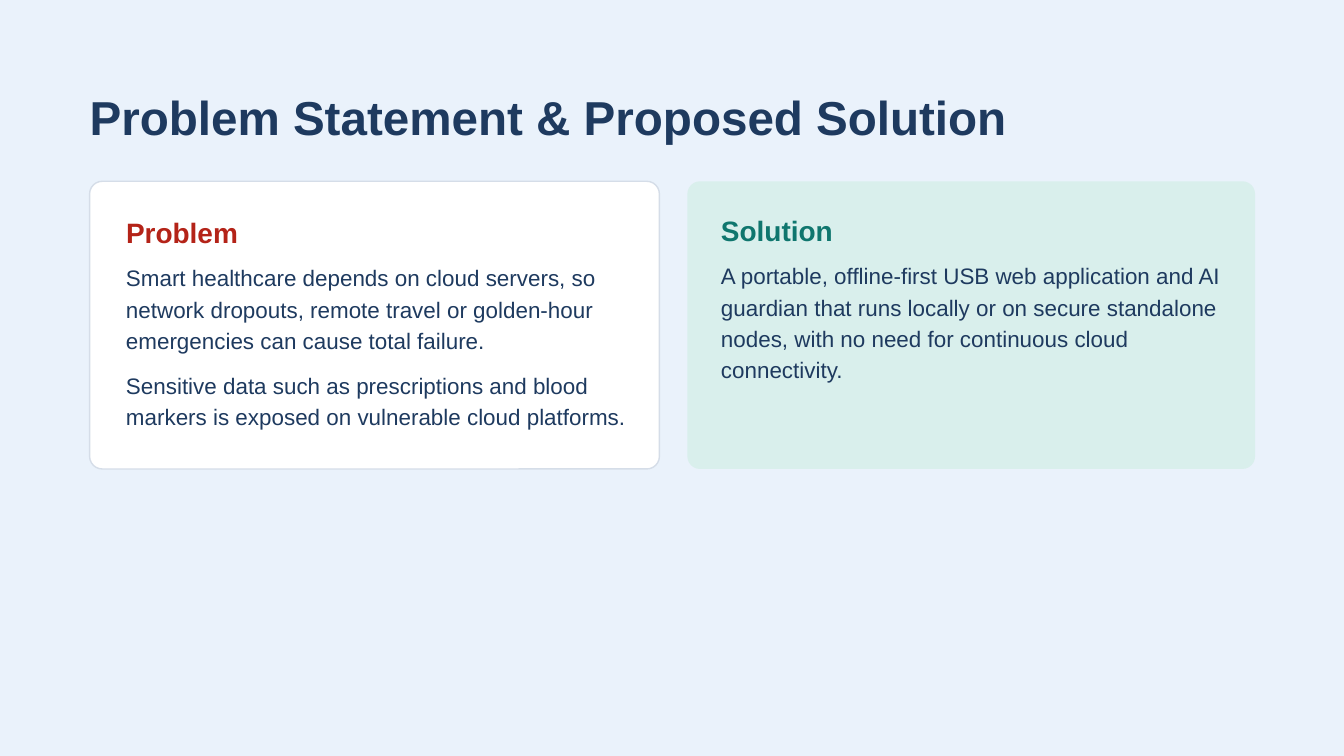
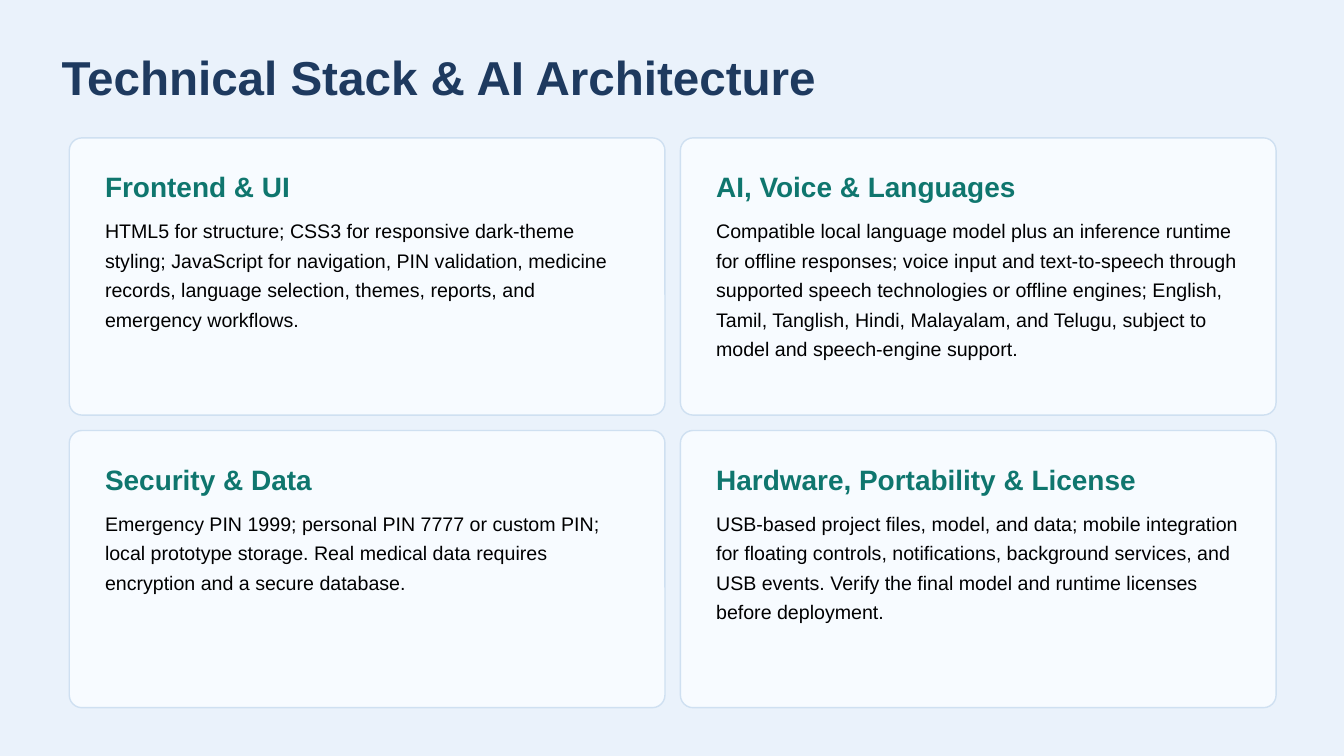
from collections import namedtuple

from pptx import Presentation
from pptx import util as u
from pptx.dml.color import RGBColor
from pptx.enum import shapes, text

PX = 9525
FONT = "Arial"
RADIUS = 18
HEADING_HEIGHT = 50
HEADING_STEP = 63
BODY_GAP = 13
COLORS = {
    "sky": "EAF2FB",
    "navy": "1E3A5F",
    "red": "B42318",
    "teal": "0F766E",
    "black": "000000",
    "white": "FFFFFF",
    "mint": "D9EFEC",
    "ice": "F7FBFF",
    "gray_edge": "D5DDE8",
    "blue_edge": "CFE0F1",
}

Box = namedtuple("Box", "left top width height")
Card = namedtuple("Card", "fill edge inset_x inset_y heading_width")
Style = namedtuple("Style", "size pitch color bold")

HEADING_PITCH = 36
PROBLEM_CARD = Card("white", "gray_edge", 52, 49, 736)
SOLUTION_CARD = Card("mint", None, 48, 46, 736)
STACK_CARD = Card("ice", "blue_edge", 51, 45, 749)
STATEMENT_BODY = Style(24, 33.7, "navy", False)
STACK_BODY = Style(21, 31.5, "black", False)

PROBLEM = [
    ("Smart healthcare depends on cloud servers, so network dropouts, remote travel "
     "or golden-hour emergencies can cause total failure.", 3),
    ("Sensitive data such as prescriptions and blood markers is exposed on vulnerable "
     "cloud platforms.", 2),
]
SOLUTION = [
    ("A portable, offline-first USB web application and AI guardian that runs locally "
     "or on secure standalone nodes, with no need for continuous cloud connectivity.", 4),
]
STACK = [
    ("Frontend & UI",
     "HTML5 for structure; CSS3 for responsive dark-theme styling; JavaScript for "
     "navigation, PIN validation, medicine records, language selection, themes, "
     "reports, and emergency workflows.", 4),
    ("AI, Voice & Languages",
     "Compatible local language model plus an inference runtime for offline responses; "
     "voice input and text-to-speech through supported speech technologies or offline "
     "engines; English, Tamil, Tanglish, Hindi, Malayalam, and Telugu, subject to "
     "model and speech-engine support.", 5),
    ("Security & Data",
     "Emergency PIN 1999; personal PIN 7777 or custom PIN; local prototype storage. "
     "Real medical data requires encryption and a secure database.", 3),
    ("Hardware, Portability & License",
     "USB-based project files, model, and data; mobile integration for floating "
     "controls, notifications, background services, and USB events. Verify the final "
     "model and runtime licenses before deployment.", 4),
]


def rgb(name):
    return RGBColor.from_string(COLORS[name])


def emu(box):
    return [length * PX for length in box]


def add_page(deck):
    page = deck.slides.add_slide(deck.slide_layouts[6])
    page.background.fill.solid()
    page.background.fill.fore_color.rgb = rgb("sky")
    return page


def add_text(page, box, words, style):
    frame = page.shapes.add_textbox(*emu(box)).text_frame
    frame.margin_left = frame.margin_right = 0
    frame.margin_top = frame.margin_bottom = 0
    frame.word_wrap = True
    frame.auto_size = text.MSO_AUTO_SIZE.SHAPE_TO_FIT_TEXT
    frame.text = words
    para = frame.paragraphs[0]
    para.line_spacing = u.Pt(style.pitch)
    font = para.runs[0].font
    font.name = FONT
    font.size = u.Pt(style.size)
    font.bold = style.bold
    font.color.rgb = rgb(style.color)


def add_title(page, box, words, pitch):
    add_text(page, box, words, Style(51, pitch, "navy", True))


def add_panel(page, box, card):
    panel = page.shapes.add_shape(shapes.MSO_SHAPE.ROUNDED_RECTANGLE, *emu(box))
    panel.adjustments[0] = RADIUS / min(box.width, box.height)
    panel.shadow.inherit = False
    panel.fill.solid()
    panel.fill.fore_color.rgb = rgb(card.fill)
    if card.edge:
        panel.line.color.rgb = rgb(card.edge)
        panel.line.width = u.Pt(1.5)
    else:
        panel.line.fill.background()


def add_card(page, box, card, heading, heading_color, passages, body, body_width):
    add_panel(page, box, card)
    left = box.left + card.inset_x
    top = box.top + card.inset_y
    add_text(page, Box(left, top, card.heading_width, HEADING_HEIGHT), heading,
             Style(30, HEADING_PITCH, heading_color, True))
    top += HEADING_STEP
    for words, lines in passages:
        height = round(lines * body.pitch * 4 / 3) + 6
        add_text(page, Box(left, top, body_width, height), words, body)
        top += height + BODY_GAP


def build_statement(deck):
    page = add_page(deck)
    add_title(page, Box(128, 132, 1716, 73), "Problem Statement & Proposed Solution", 56.3)
    add_card(page, Box(128, 259, 814, 411), PROBLEM_CARD, "Problem", "red",
             PROBLEM, STATEMENT_BODY, 728)
    add_card(page, Box(982, 259, 811, 411), SOLUTION_CARD, "Solution", "teal",
             SOLUTION, STATEMENT_BODY, 728)


def build_stack(deck):
    page = add_page(deck)
    add_title(page, Box(88, 68, 1745, 84), "Technical Stack & AI Architecture", 61.2)
    width, height, gap = 851, 396, 22
    for index, (heading, words, lines) in enumerate(STACK):
        row, column = divmod(index, 2)
        box = Box(99 + column * (width + gap), 197 + row * (height + gap), width, height)
        add_card(page, box, STACK_CARD, heading, "teal",
                 [(words, lines)], STACK_BODY, STACK_CARD.heading_width)


def main():
    deck = Presentation()
    deck.slide_width = 1920 * PX
    deck.slide_height = 1080 * PX
    build_statement(deck)
    build_stack(deck)
    deck.save("out.pptx")


if __name__ == "__main__":
    main()
